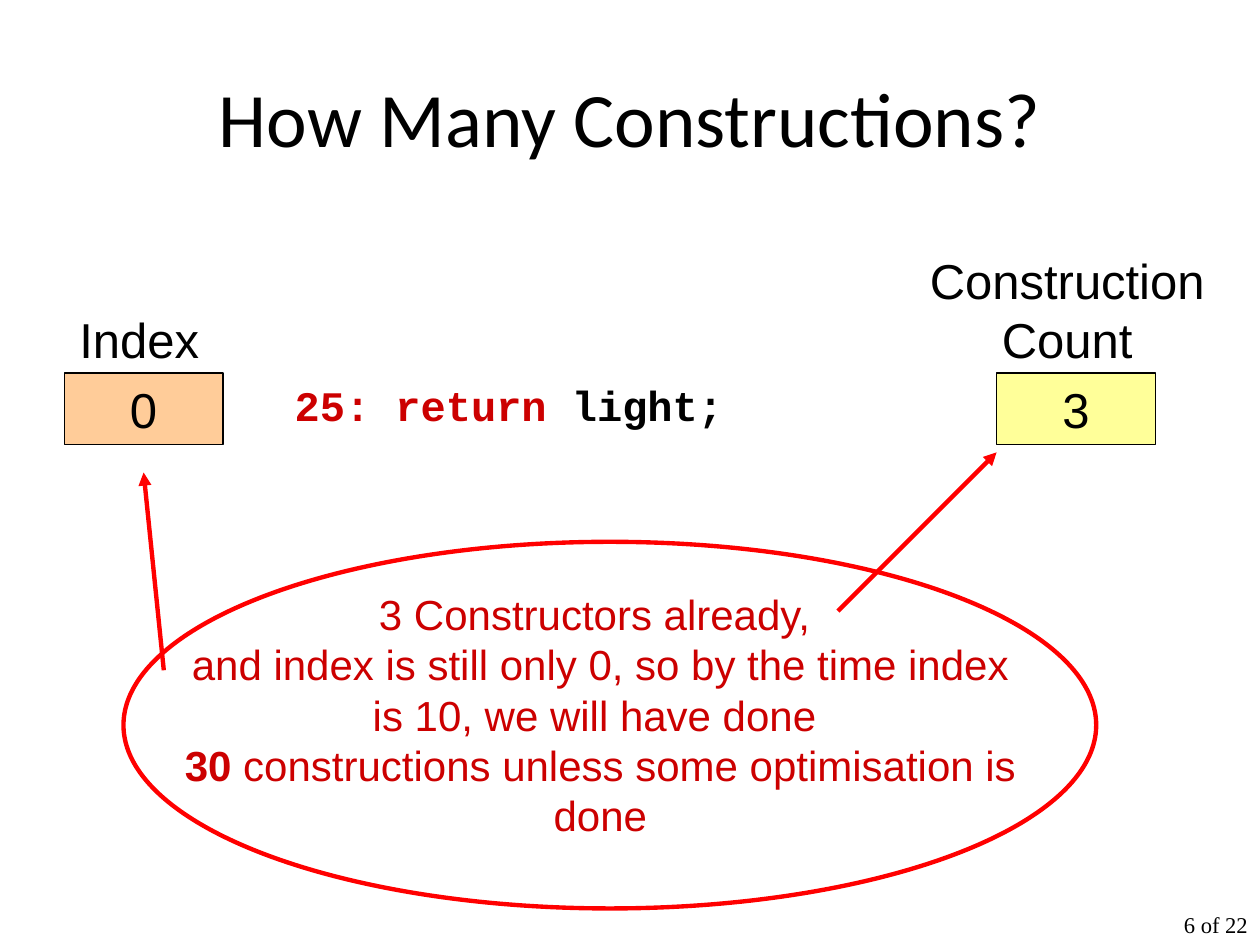
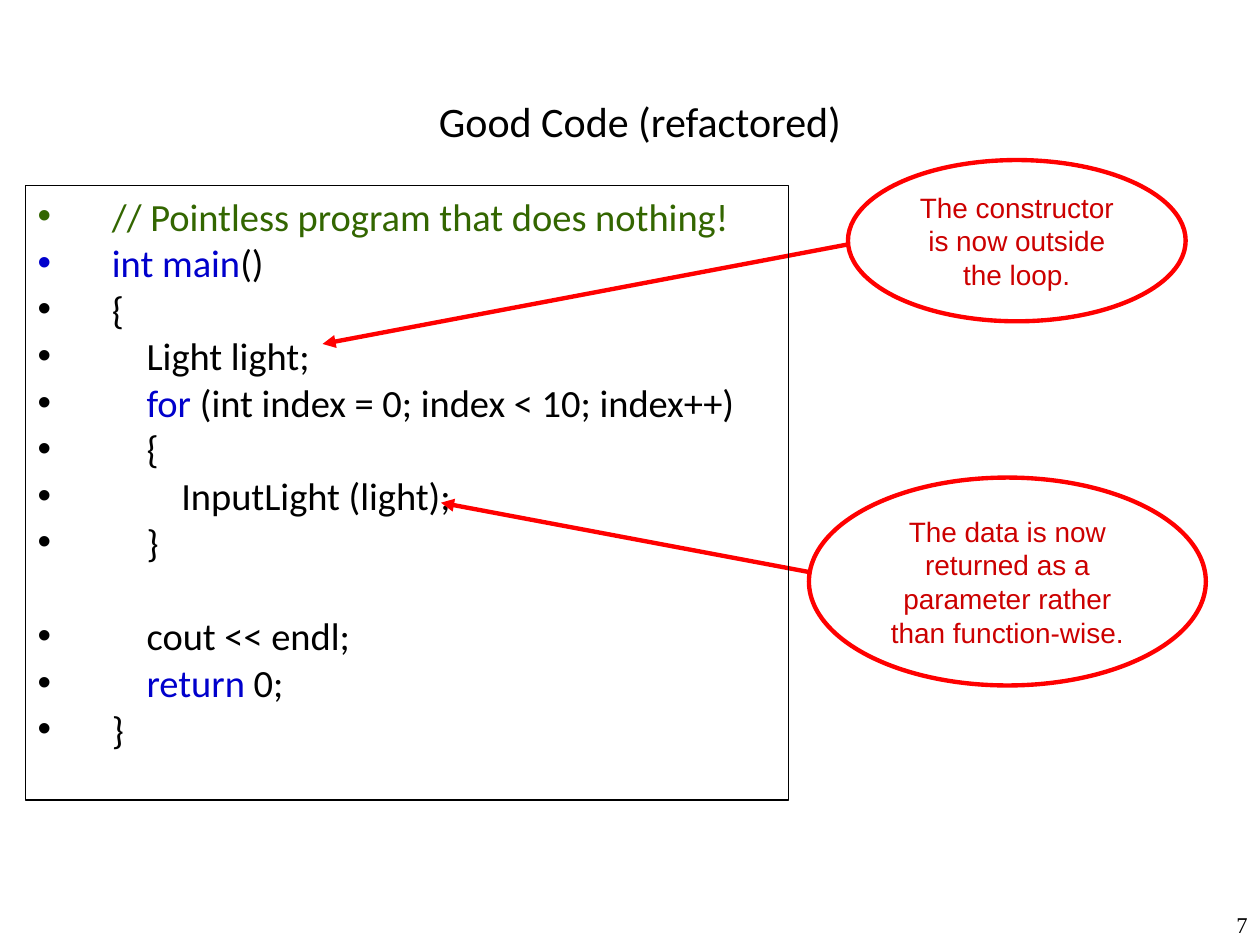
from lxml import etree
from pptx import Presentation
from pptx.dml.color import RGBColor
from pptx.enum.shapes import MSO_CONNECTOR, MSO_SHAPE
from pptx.enum.text import MSO_ANCHOR, PP_ALIGN
from pptx.oxml.ns import qn
from pptx.util import Inches, Pt

# Shared style
BLACK = RGBColor(0x00, 0x00, 0x00)
WHITE = RGBColor(0xFF, 0xFF, 0xFF)
NOTE_RED = RGBColor(0xCC, 0x00, 0x00)
LINE_RED = RGBColor(0xFF, 0x00, 0x00)
KEYWORD_BLUE = RGBColor(0x00, 0x00, 0xCC)
COMMENT_GREEN = RGBColor(0x33, 0x66, 0x00)
ORANGE = RGBColor(0xFF, 0xCC, 0x99)
YELLOW = RGBColor(0xFF, 0xFF, 0x99)

LEFT, CENTER, RIGHT = PP_ALIGN.LEFT, PP_ALIGN.CENTER, PP_ALIGN.RIGHT
TOP, MIDDLE = MSO_ANCHOR.TOP, MSO_ANCHOR.MIDDLE
RECTANGLE, OVAL = MSO_SHAPE.RECTANGLE, MSO_SHAPE.OVAL
STRAIGHT = MSO_CONNECTOR.STRAIGHT

# The slide is a grid of 100 columns by 75 rows
CELL = Inches(0.1)
COLUMNS, ROWS = 100, 75
TITLE_ONLY = 5

# Code listing: indent level, coloured pieces, and whether a gap comes before
CODE_HANG = Inches(0.59)
CODE_STEP = Inches(0.275)
CODE_GAP = 5.5
CODE_GROUP_GAP = 32.5
CODE = [
    (0, [("// Pointless program that does nothing!", COMMENT_GREEN)], False),
    (0, [("int main", KEYWORD_BLUE), ("()", BLACK)], False),
    (0, [("{", BLACK)], False),
    (1, [("Light light;", BLACK)], False),
    (1, [("for", KEYWORD_BLUE),
         (" (int index = 0; index < 10; index++)", BLACK)], False),
    (1, [("{", BLACK)], False),
    (2, [("InputLight (light);", BLACK)], False),
    (1, [("}", BLACK)], False),
    (1, [("cout << endl;", BLACK)], True),
    (1, [("return", KEYWORD_BLUE), (" 0;", BLACK)], False),
    (0, [("}", BLACK)], False),
]


def cells(*counts):
    return [int(count * CELL) for count in counts]


def write(para, text, font="Arial", size=24, color=BLACK, bold=False,
          align=CENTER, spacing=None):
    """Add one formatted run to a paragraph."""
    para.alignment = align
    if spacing:
        para.line_spacing = spacing
    span = para.add_run()
    span.text = text
    span.font.name = font
    span.font.size = Pt(size)
    span.font.color.rgb = color
    span.font.bold = bold


def add_page(deck, title, place, size, number):
    page = deck.slides.add_slide(deck.slide_layouts[TITLE_ONLY])
    box = page.shapes.title
    box.left, box.top, box.width, box.height = cells(*place)
    box.text_frame.vertical_anchor = MIDDLE
    write(box.text_frame.paragraphs[0], title, font="Calibri", size=size)
    # Page number in the bottom right corner
    frame = add_text_box(page, (COLUMNS - 10.6, ROWS - 2.8, 10.6, 2.8))
    write(frame.paragraphs[0], number, font="Times New Roman", size=12.9,
          align=RIGHT, spacing=0.8)
    return page


def add_text_box(page, place):
    frame = page.shapes.add_textbox(*cells(*place)).text_frame
    frame.word_wrap = True
    return frame


def add_figure(page, kind, place, fill=None, line=BLACK, weight=0.75):
    figure = page.shapes.add_shape(kind, *cells(*place))
    figure.shadow.inherit = False
    if fill is None:
        figure.fill.background()
    else:
        figure.fill.solid()
        figure.fill.fore_color.rgb = fill
    figure.line.color.rgb = line
    figure.line.width = Pt(weight)
    figure.text_frame.word_wrap = True
    return figure


def add_oval(page, place, fill=None):
    return add_figure(page, OVAL, place, fill, LINE_RED, 2.5)


def add_arrow(page, start, end):
    arrow = page.shapes.add_connector(STRAIGHT, *cells(*start, *end))
    arrow.line.color.rgb = LINE_RED
    arrow.line.width = Pt(2.5)
    etree.SubElement(arrow.line._get_or_add_ln(), qn("a:tailEnd"),
                     type="triangle")
    etree.SubElement(arrow._element.spPr, qn("a:effectLst"))


def add_counter(page, label, label_place, value, left, fill):
    """A caption above a coloured box that holds one value."""
    caption = add_text_box(page, label_place)
    write(caption.paragraphs[0], label, size=28)
    frame = add_figure(page, RECTANGLE, (left, 29.6, 12.6, 5.7),
                       fill).text_frame
    frame.vertical_anchor = TOP
    write(frame.paragraphs[0], value, size=28)


def add_callout(page, text, place, start, end):
    frame = add_oval(page, place, WHITE).text_frame
    frame.vertical_anchor = MIDDLE
    write(frame.paragraphs[0], text, size=16, color=NOTE_RED)
    add_arrow(page, start, end)


def add_paragraphs(frame, count):
    """Return the first paragraph of a frame and as many more as needed."""
    return [frame.paragraphs[0]] + [frame.add_paragraph()
                                    for _ in range(count - 1)]


def add_bullet(para, level, color):
    """Hang a coloured bullet at the left edge, whatever the code level."""
    properties = para._p.get_or_add_pPr()
    margin = int(CODE_HANG + level * CODE_STEP)
    properties.set("marL", str(margin))
    properties.set("indent", str(-margin))
    tint = etree.SubElement(properties, qn("a:buClr"))
    etree.SubElement(tint, qn("a:srgbClr"), val=str(color))
    etree.SubElement(properties, qn("a:buFont"), typeface="Arial")
    etree.SubElement(properties, qn("a:buChar"), char="•")


def add_code(page, place):
    paras = add_paragraphs(add_text_box(page, place), len(CODE))
    for para, (level, pieces, new_group) in zip(paras, CODE):
        para.space_before = Pt(CODE_GROUP_GAP if new_group else CODE_GAP)
        for text, color in pieces:
            write(para, text, font="Calibri", size=22, color=color,
                  align=LEFT, spacing=0.8)
        bullet_color = pieces[0][1] if level == 0 else BLACK
        add_bullet(para, level, bullet_color)


def build_constructions(deck):
    page = add_page(deck, "How Many Constructions?", (5, 3, 90, 12.5), 44,
                    "6 of 22")
    # Counters and the statement being run
    add_counter(page, "Index", (2, 24.1, 18.1, 5.7), "0", 5.1, ORANGE)
    add_counter(page, "Construction Count", (70.5, 19.4, 28.4, 10.4), "3",
                79.1, YELLOW)
    statement = add_text_box(page, (22.4, 29.6, 54.3, 5)).paragraphs[0]
    for text, color in (("25: return ", NOTE_RED), ("light;", BLACK)):
        write(statement, text, font="Courier New", color=color, bold=True,
              align=LEFT)
    # Remark that points at both counters
    add_oval(page, (9.8, 43, 77.2, 29.1))
    remark = [
        [("3 Constructors already, ", False)],
        [("and index is still only 0, so by the time index is 10, "
          "we will have done ", False)],
        [("30", True),
         (" constructions unless some optimisation is done", False)],
    ]
    frame = add_text_box(page, (13, 46.2, 69.3, 21))
    for para, pieces in zip(add_paragraphs(frame, len(remark)), remark):
        for text, bold in pieces:
            write(para, text, color=NOTE_RED, bold=bold)
    add_arrow(page, (66.5, 48.5), (79.1, 35.9))
    add_arrow(page, (13, 53.2), (11.4, 37.5))


def build_good_code(deck):
    page = add_page(deck, "Good Code (refactored)", (8.3, 6, 85, 7.1), 24,
                    "7")
    add_code(page, (2, 15.5, 96.1, 48.8))
    add_callout(page, "The constructor is now outside the loop.",
                (67.3, 12.7, 26.8, 12.8), (67.3, 19.4), (25.6, 27.3))
    add_callout(page, "The data is now returned as a parameter rather "
                "than function-wise.",
                (64.2, 37.9, 31.5, 16.5), (64.2, 45.4), (35, 39.9))
    # Frame around the listing
    add_figure(page, RECTANGLE, (2, 14.7, 60.6, 48.8))


def main():
    deck = Presentation()
    deck.slide_width, deck.slide_height = cells(COLUMNS, ROWS)
    build_constructions(deck)
    build_good_code(deck)
    deck.save("out.pptx")


if __name__ == "__main__":
    main()
